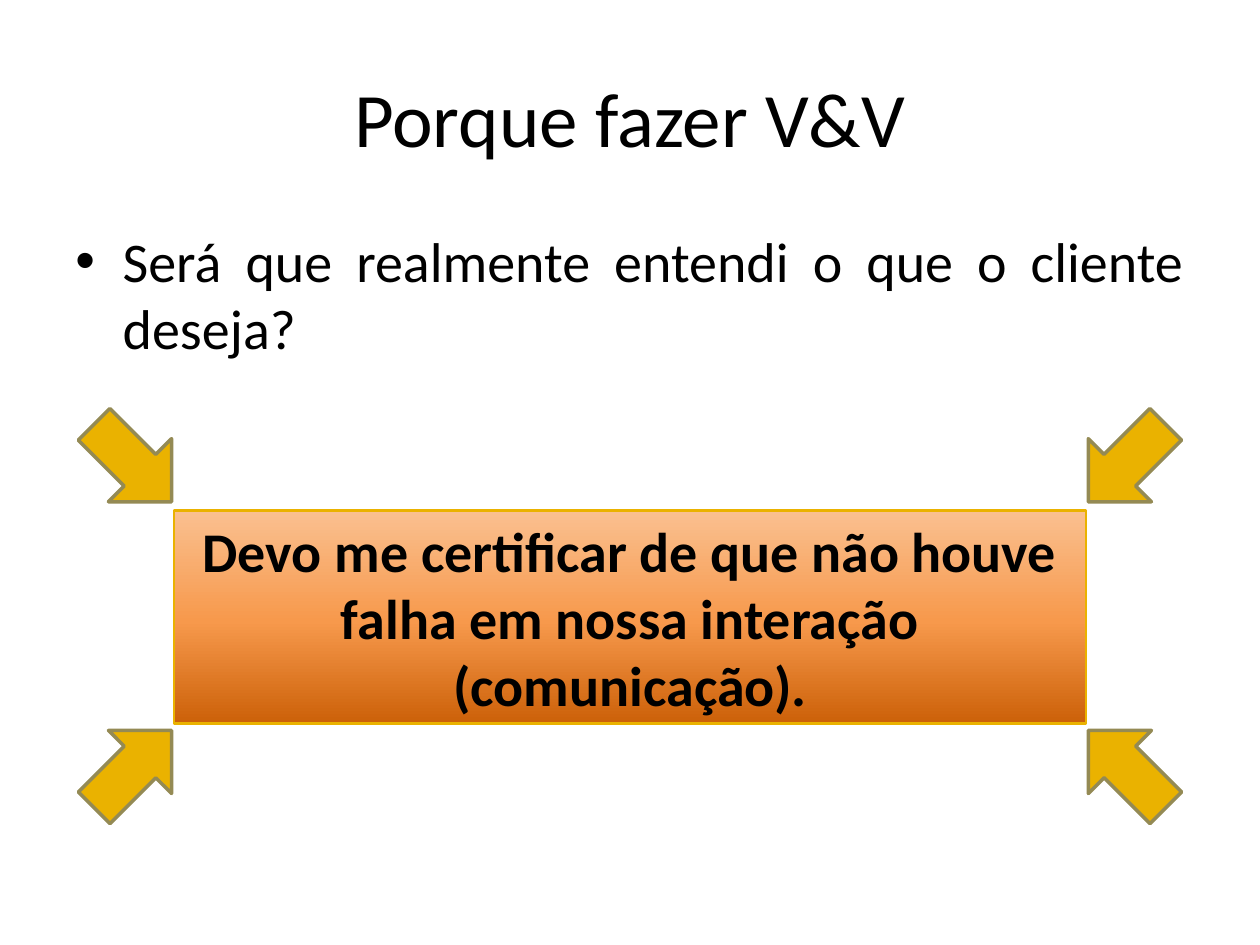
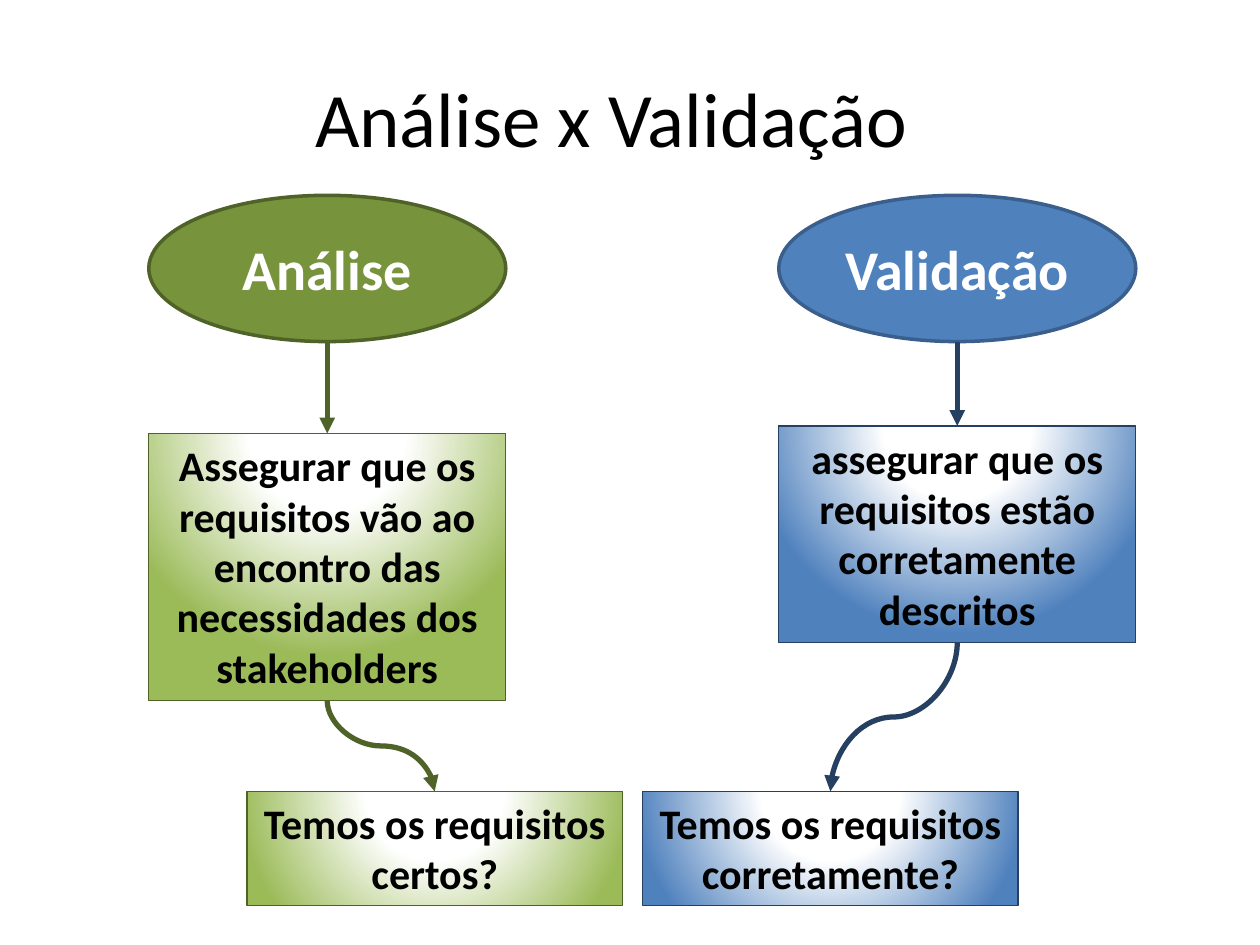
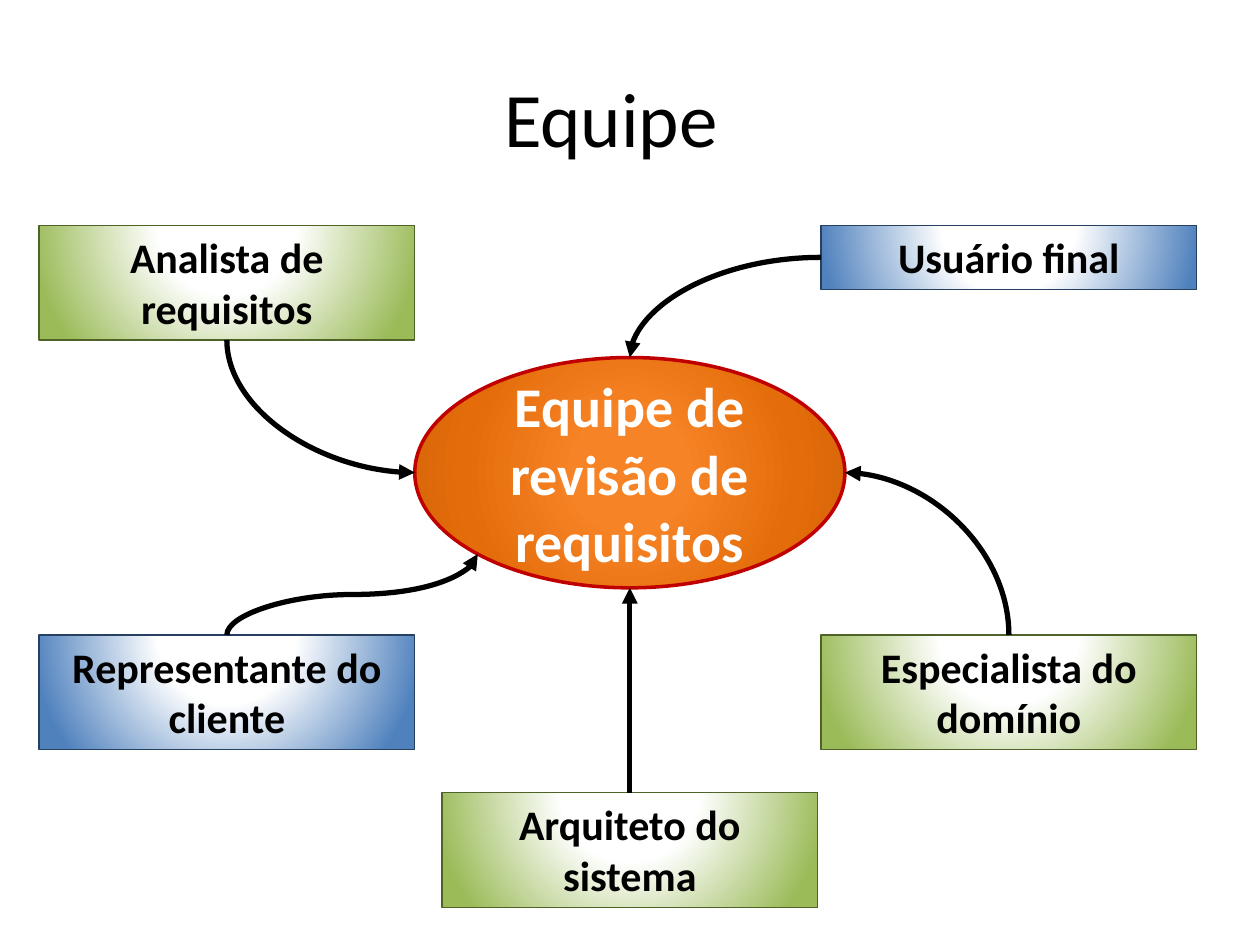
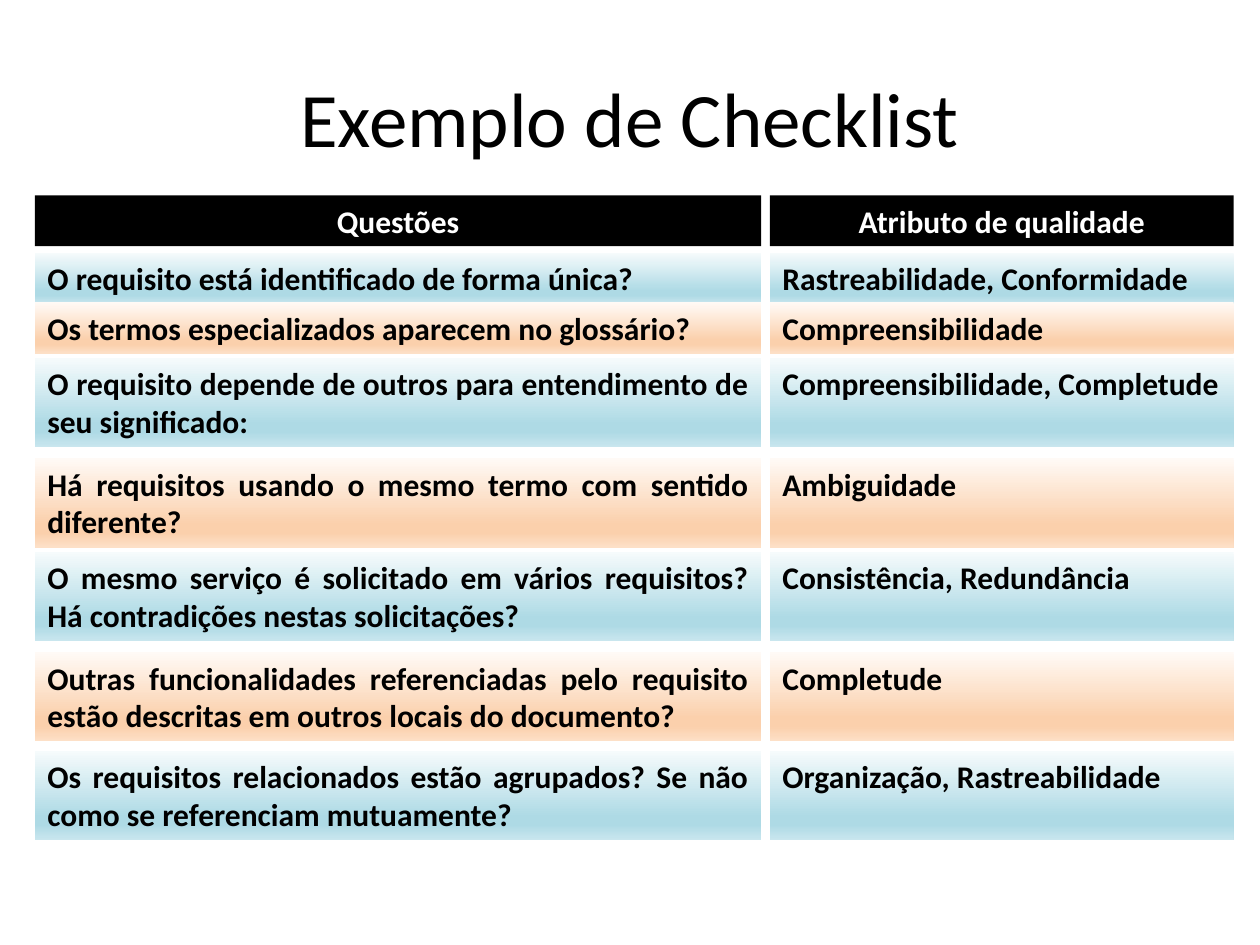
import dataclasses
import math

import lxml.etree
import pptx
import pptx.dml.color
import pptx.enum.shapes
import pptx.enum.text
import pptx.oxml.ns
import pptx.util

Pt = pptx.util.Pt
qn = pptx.oxml.ns.qn
RGB = pptx.dml.color.RGBColor.from_string
SHAPE = pptx.enum.shapes.MSO_SHAPE
ALIGN = pptx.enum.text.PP_ALIGN
ANCHOR = pptx.enum.text.MSO_ANCHOR
FIT = pptx.enum.text.MSO_AUTO_SIZE


@dataclasses.dataclass(frozen=True)
class Gradient:
    stops: tuple  # (percent, colour) pairs
    angle: int = 0
    focus: tuple = ()  # left, top, right, bottom in percent; makes it circular


@dataclasses.dataclass(frozen=True)
class Style:
    fill: object
    line: str = ""
    weight: float = 0.75
    ink: str = "000000"
    size: int = 24
    align: object = ALIGN.CENTER
    anchor: object = ANCHOR.TOP
    space_before: float = 0
    grow: bool = True


def glow(colour):
    return Gradient(((0, "FFFFFF"), (35, "FFFFFF"), (100, colour)), focus=(50, -80, 50, 180))


def row_gradient(pale, strong, soft):
    return Gradient(((0, pale), (74, strong), (83, strong), (100, soft)), angle=90)


class Theme:
    font = "Calibri"
    ink, green_line, blue_line = "000000", "4F6228", "254061"
    title_size, body_size, curve_weight = 44, 32, 3
    middle = Style("77933C", green_line, 2, "FFFFFF", body_size, anchor=ANCHOR.MIDDLE, grow=False)
    analysis = middle
    validation = dataclasses.replace(middle, fill="4F81BD", line="3A5F8C")
    team = dataclasses.replace(
        middle, line="C00000",
        fill=Gradient(((0, "F68325"), (23, "F68325"), (69, "E46C0A"), (97, "D56509")),
                      focus=(50, 50, 50, 50)))
    green = Style(glow("9BBB59"), green_line)
    blue = Style(glow("4F81BD"), blue_line)
    arrow = Style("EAB200", "948A54", 2, grow=False)
    message = Style(Gradient(((0, "CC6109"), (48, "F7994C"), (100, "FAC090")), angle=270),
                    "EAB200", 1.5, size=body_size, space_before=6.4, grow=False)
    header = Style("000000", ink="FFFFFF", size=18)
    cool_row = Style(row_gradient("F6FBFC", "AEDAE5", "C9E6EE"), size=18, align=ALIGN.JUSTIFY)
    warm_row = dataclasses.replace(cool_row, fill=row_gradient("FFFAF6", "FBD0AC", "FDE0C7"))


def add_box(page, kind, frame, style, text=""):
    box = page.shapes.add_shape(kind, *(Pt(length) for length in frame))
    box.shadow.inherit = False
    if isinstance(style.fill, Gradient):
        box.fill.gradient()
        gradient = box._element.spPr.find(qn("a:gradFill"))
        for child in list(gradient):
            gradient.remove(child)
        stops = lxml.etree.SubElement(gradient, qn("a:gsLst"))
        for percent, colour in style.fill.stops:
            stop = lxml.etree.SubElement(stops, qn("a:gs"), pos=str(percent * 1000))
            lxml.etree.SubElement(stop, qn("a:srgbClr"), val=colour)
        if style.fill.focus:
            circle = lxml.etree.SubElement(gradient, qn("a:path"), path="circle")
            sides = {side: str(percent * 1000) for side, percent in zip("ltrb", style.fill.focus)}
            lxml.etree.SubElement(circle, qn("a:fillToRect"), **sides)
        else:
            lxml.etree.SubElement(gradient, qn("a:lin"), ang=str(style.fill.angle * 60000), scaled="0")
    else:
        box.fill.solid()
        box.fill.fore_color.rgb = RGB(style.fill)
    if style.line:
        box.line.color.rgb = RGB(style.line)
        box.line.width = Pt(style.weight)
    else:
        box.line.fill.background()
    if text:
        frame = box.text_frame
        frame.text = text
        frame.word_wrap = True
        frame.vertical_anchor = style.anchor
        frame.auto_size = FIT.SHAPE_TO_FIT_TEXT if style.grow else FIT.NONE
        para = frame.paragraphs[0]
        para.alignment = style.align
        para.space_before = Pt(style.space_before)
        font = para.runs[0].font
        font.name, font.size, font.bold = Theme.font, Pt(style.size), True
        font.color.rgb = RGB(style.ink)
    return box


def add_curve(page, begin, begin_at, end, end_at, turn, colour, bends=3):
    """Curve between two boxes; the ends are fractions of each box, turn is in degrees."""
    x1, y1 = begin.left + begin.width * begin_at[0], begin.top + begin.height * begin_at[1]
    x2, y2 = end.left + end.width * end_at[0], end.top + end.height * end_at[1]
    cos, sin = round(math.cos(math.radians(turn))), round(math.sin(math.radians(turn)))
    # Half of the span as it lies before the connector is turned about its centre.
    half_x = ((x2 - x1) * cos + (y2 - y1) * sin) / 2
    half_y = ((y2 - y1) * cos - (x2 - x1) * sin) / 2
    centre_x, centre_y = (x1 + x2) / 2, (y1 + y2) / 2
    curve = page.shapes.add_connector(
        pptx.enum.shapes.MSO_CONNECTOR.CURVE,
        round(centre_x - half_x), round(centre_y - half_y),
        round(centre_x + half_x), round(centre_y + half_y))
    curve.rotation = turn
    curve.line.color.rgb = RGB(colour)
    curve.line.width = Pt(Theme.curve_weight)
    properties = curve._element.spPr
    properties.find(qn("a:prstGeom")).set("prst", f"curvedConnector{bends}")
    lxml.etree.SubElement(properties.find(qn("a:ln")), qn("a:tailEnd"), type="triangle")
    lxml.etree.SubElement(properties, qn("a:effectLst"))


TOP, LEFT, BOTTOM, RIGHT = (0.5, 0), (0, 0.5), (0.5, 1), (1, 0.5)
LOWER_LEFT = (0.5 - math.sqrt(0.125), 0.5 + math.sqrt(0.125))  # on an ellipse

deck = pptx.Presentation()
deck.slide_width, deck.slide_height = Pt(720), Pt(540)

# Pages and their titles
pages = []
for title_text in ("Porque fazer V&V", "Análise x Validação\t", "Equipe\t", "Exemplo de Checklist"):
    page = deck.slides.add_slide(deck.slide_layouts[5])
    title = page.shapes.title
    title.left, title.top, title.width, title.height = Pt(36), Pt(21.6), Pt(648), Pt(90)
    title.text_frame.text = title_text
    title.text_frame.vertical_anchor = ANCHOR.MIDDLE
    para = title.text_frame.paragraphs[0]
    para.alignment = ALIGN.CENTER
    font = para.runs[0].font
    font.name, font.size = Theme.font, Pt(Theme.title_size)
    font.color.rgb = RGB(Theme.ink)
    pages.append(page)
why_page, compare_page, team_page, checklist_page = pages

# Why verify and validate
question = why_page.shapes.add_textbox(Pt(36), Pt(126), Pt(648), Pt(90))
question.text_frame.text = "Será que realmente entendi o que o cliente deseja?"
question.text_frame.word_wrap = True
para = question.text_frame.paragraphs[0]
para.alignment = ALIGN.JUSTIFY
para.space_before = Pt(6.4)
font = para.runs[0].font
font.name, font.size = Theme.font, Pt(Theme.body_size)
font.color.rgb = RGB(Theme.ink)
bullet = para._p.get_or_add_pPr()
bullet.set("marL", str(Pt(27)))
bullet.set("indent", str(-Pt(27)))
lxml.etree.SubElement(bullet, qn("a:buFont"), typeface="Arial")
lxml.etree.SubElement(bullet, qn("a:buChar"), char="•")

for left, top, turn in ((50.4, 233.3, 315), (618.5, 233.3, 45), (618.5, 408.2, 135), (50.4, 408.2, 225)):
    arrow = add_box(why_page, SHAPE.DOWN_ARROW, (left, top, 51, 62.6), Theme.arrow)
    arrow.rotation = turn
add_box(why_page, SHAPE.RECTANGLE, (99.4, 291.6, 521.3, 121.7), Theme.message,
        "Devo me certificar de que não houve falha em nossa interação (comunicação).")

# Analysis against validation: one chain of boxes each
chains = (
    (85, "Análise", Theme.analysis, Theme.green, 247.7, 152.6,
     "Assegurar que os requisitos vão ao encontro das necessidades dos stakeholders",
     141.1, "Temos os requisitos certos?", 270),
    (445, "Validação", Theme.validation, Theme.blue, 243.4, 123.8,
     "assegurar que os requisitos estão corretamente descritos",
     367.2, "Temos os requisitos corretamente?", 90),
)
for left, name, head_style, style, goal_top, goal_height, goal_text, ask_left, ask_text, turn in chains:
    head = add_box(compare_page, SHAPE.OVAL, (left, 111.6, 204, 83.6), head_style, name)
    goal = add_box(compare_page, SHAPE.RECTANGLE, (left, goal_top, 204, goal_height), style, goal_text)
    ask = add_box(compare_page, SHAPE.RECTANGLE, (ask_left, 452.2, 214.6, 65.4), style, ask_text)
    add_curve(compare_page, head, BOTTOM, goal, TOP, 90, style.line)
    add_curve(compare_page, goal, BOTTOM, ask, TOP, turn, style.line)

# Review team and its members
team = add_box(team_page, SHAPE.OVAL, (237, 204.3, 245.8, 131.6), Theme.team,
               "Equipe de revisão de requisitos")
members = (
    ("Analista de requisitos", 22.3, 128.9, 65.4, Theme.green, BOTTOM, LEFT, 270, 2),
    ("Usuário final", 469.2, 128.9, 36.4, Theme.blue, LEFT, TOP, 180, 2),
    ("Arquiteto do sistema", 252.6, 453, 65.4, Theme.green, TOP, BOTTOM, 90, 3),
    ("Especialista do domínio", 469.2, 362.9, 65.4, Theme.green, TOP, RIGHT, 270, 2),
    ("Representante do cliente", 22.3, 362.9, 65.4, Theme.blue, TOP, LOWER_LEFT, 90, 3),
)
for name, left, top, height, style, begin_at, end_at, turn, bends in members:
    member = add_box(team_page, SHAPE.RECTANGLE, (left, top, 214.6, height), style, name)
    add_curve(team_page, member, begin_at, team, end_at, turn, Theme.ink, bends)

# Checklist
ONE_LINE, TWO_LINES = 29.1, 50.9
checklist = (
    (111.6, ONE_LINE, "Questões", "Atributo de qualidade"),
    (144.6, ONE_LINE, "O requisito está identificado de forma única?", "Rastreabilidade, Conformidade"),
    (172.8, ONE_LINE, "Os termos especializados aparecem no glossário?", "Compreensibilidade"),
    (204.6, TWO_LINES, "O requisito depende de outros para entendimento de seu significado:",
     "Compreensibilidade, Completude"),
    (262, TWO_LINES, "Há requisitos usando o mesmo termo com sentido diferente?", "Ambiguidade"),
    (315.4, TWO_LINES,
     "O mesmo serviço é solicitado em vários requisitos? Há contradições nestas solicitações?",
     "Consistência, Redundância"),
    (372.8, TWO_LINES,
     "Outras funcionalidades referenciadas pelo requisito estão descritas em outros locais do documento?",
     "Completude"),
    (429.1, TWO_LINES,
     "Os requisitos relacionados estão agrupados? Se não como se referenciam mutuamente?",
     "Organização, Rastreabilidade"),
)
for index, (top, height, issue, attribute) in enumerate(checklist):
    style = (Theme.warm_row, Theme.cool_row)[index % 2] if index else Theme.header
    add_box(checklist_page, SHAPE.RECTANGLE, (20, top, 415, height), style, issue)
    attribute_style = dataclasses.replace(style, grow=height == ONE_LINE)
    add_box(checklist_page, SHAPE.RECTANGLE, (440, top, 265, height), attribute_style, attribute)

deck.save("out.pptx")
